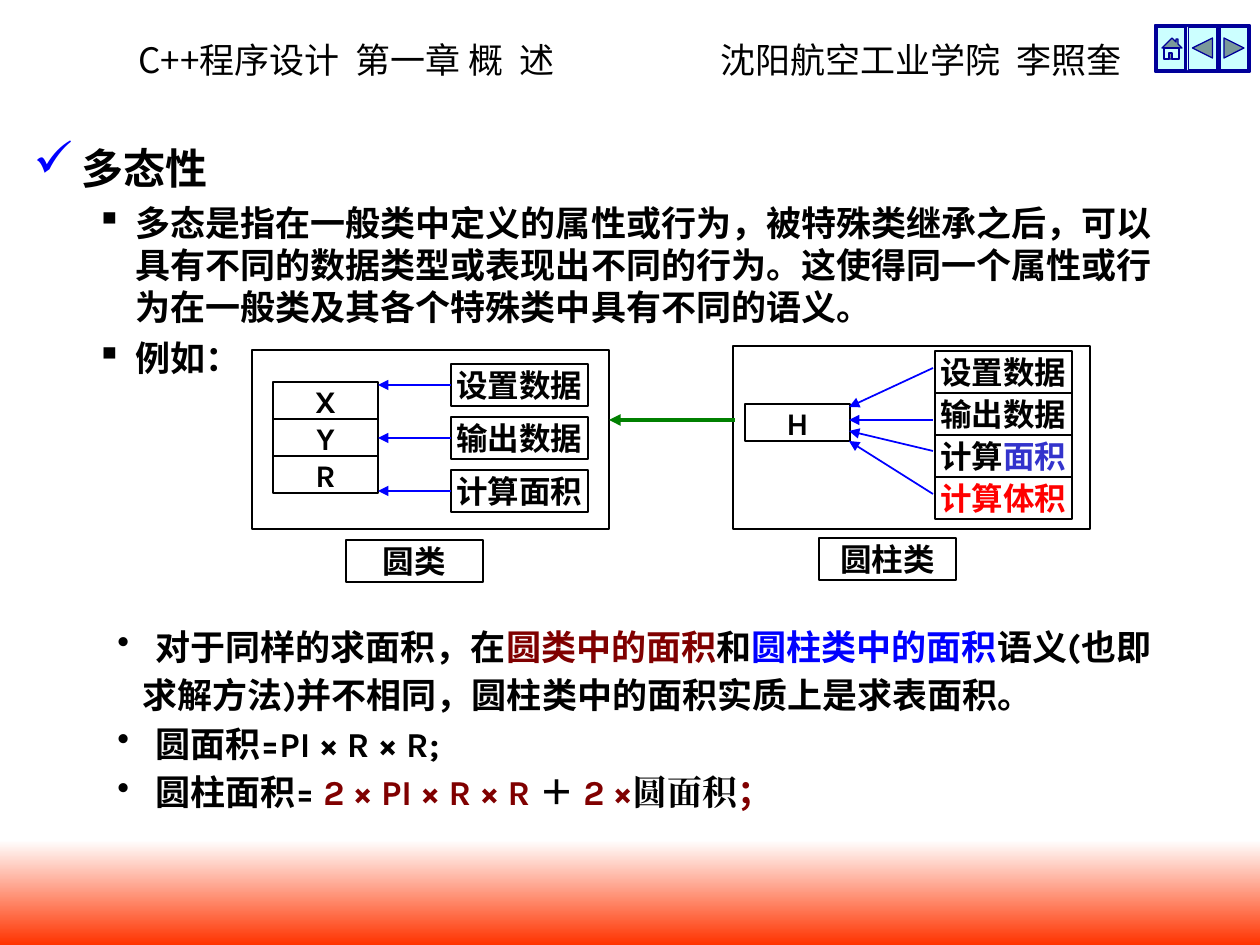
"""Build the polymorphism slide comparing the circle and cylinder classes."""
from dataclasses import dataclass

from lxml.etree import SubElement
from pptx import Presentation
from pptx.dml.color import RGBColor
from pptx.enum.shapes import MSO_CONNECTOR, MSO_SHAPE
from pptx.enum.text import MSO_ANCHOR, PP_ALIGN
from pptx.oxml.ns import qn
from pptx.util import Emu, Pt


@dataclass(frozen=True)
class Theme:
    black: str = "000000"
    white: str = "FFFFFF"
    blue: str = "0000FF"
    indigo: str = "3333CC"
    maroon: str = "800000"
    red: str = "FF0000"
    green: str = "008000"
    flame: str = "FF3300"
    navy: str = "000099"
    ice: str = "CCFFFF"
    glyph: str = "7A9999"
    font: str = "Karla"
    serif: str = "Times New Roman"
    header_latin: str = "Noto Sans CJK JP"
    header_chinese: str = "Noto Sans CJK SC"
    title: int = 24
    body: int = 20
    label: int = 18


T = Theme()
EMU_PER_PX = 914400 / 126

HEADER = [
    ("C++程序设计 ", T.header_latin),
    (" 第一章 概  述\t", T.header_chinese),
    ("沈阳航空工业学院  ", T.header_latin),
    ("李照奎", T.header_chinese),
]
HEADER_TAB = 582

POINT = dict(left=102, hang=39, before=5, bullet="▪", bullet_color=T.black)
TOPIC = [
    ([("多态性", T.black)], T.title,
     dict(left=48, hang=48, bullet="✓", bullet_color=T.blue, bullet_size=120)),
    ([("多态是指在一般类中定义的属性或行为，被特殊类继承之后，可以具有不同的数据类型或表现出不同的行为。"
       "这使得同一个属性或行为在一般类及其各个特殊类中具有不同的语义。", T.black)], T.body, POINT),
    ([("例如：", T.black)], T.body, POINT),
]

FIRST_REMARK = dict(left=38, hang=38, bullet="•", bullet_color=T.black)
REMARK = dict(FIRST_REMARK, before=3.7)
REMARKS = [
    ([("对于同样的求面积，在", T.black), ("圆类中的面积", T.maroon), ("和", T.black),
      ("圆柱类中的面积", T.blue), ("语义(也即", T.black)], T.body, FIRST_REMARK),
    ([("求解方法)并不相同，圆柱类中的面积实质上是求表面积。", T.black)], T.body, dict(left=25, before=3.7)),
    ([("圆面积=PI × R × R;", T.black)], T.body, REMARK),
    ([("圆柱面积= ", T.black), ("2 × PI × R × R ", T.maroon), ("＋ ", T.black), ("2 ×", T.maroon),
      ("圆面积", T.black, T.serif), ("；", T.maroon)], T.body, REMARK),
]

FIELD, ACTION = (105, 37), (137, 42)
CLASSES = [
    dict(frame=(252, 350, 357, 179), name="圆类", name_at=(346, 540),
         fields=["X", "Y", "R"], fields_at=(273, 382),
         actions=[[("设置数据", T.black)], [("输出数据", T.black)], [("计算面积", T.black)]],
         actions_at=(451, 364), action_step=53,
         links=[((451, y), (378, y)) for y in (385, 438, 491)]),
    dict(frame=(733, 346, 357, 183), name="圆柱类", name_at=(819, 538),
         fields=["H"], fields_at=(745, 404),
         actions=[[("设置数据", T.black)], [("输出数据", T.black)],
                  [("计算", T.black), ("面积", T.indigo)], [("计算体积", T.red)]],
         actions_at=(935, 351), action_step=42,
         links=[((933, start), (849, end))
                for start, end in ((368, 407), (420, 420), (451, 431), (494, 441))]),
]
INHERITANCE = ((735, 420), (609, 420))

NAV_AT, NAV_SIZE, NAV_STEP = (1155, 25), (32, 47), 31.5
HOUSE = [(17, 13), (21, 17), (21, 14), (23, 14), (23, 19), (27, 23), (24, 23), (24, 34), (9, 34), (9, 23), (7, 23)]
WALLS = [(14, 28), (17, 28), (17, 34), (24, 34), (24, 23), (9, 23), (9, 34), (14, 34)]
NAV_BUTTONS = [
    [(HOUSE, T.glyph), (WALLS, T.ice)],
    [([(6, 23), (26, 13), (26, 33)], T.glyph)],
    [([(6, 13), (26, 23), (6, 33)], T.glyph)],
]


def px(value):
    return Emu(round(value * EMU_PER_PX))


def rgb(color):
    return RGBColor.from_string(color)


def add_run(paragraph, text, size, color=T.black, font=T.font, bold=True):
    run = paragraph.add_run()
    run.text = text
    run.font.size, run.font.bold, run.font.name = Pt(size), bold, font
    run.font.color.rgb = rgb(color)
    SubElement(run.font._element, qn("a:ea"), typeface=font)


def format_paragraph(paragraph, left=0, hang=0, before=0, bullet=None, bullet_color=None, bullet_size=None):
    properties = paragraph._p.get_or_add_pPr()
    properties.set("marL", str(px(left)))
    properties.set("indent", str(px(-hang)))
    if bullet:
        SubElement(SubElement(properties, qn("a:buClr")), qn("a:srgbClr"), val=bullet_color)
        if bullet_size:
            SubElement(properties, qn("a:buSzPct"), val=str(bullet_size * 1000))
        SubElement(properties, qn("a:buChar"), char=bullet)
    paragraph.space_before = Pt(before)


def add_text_area(slide, box):
    frame = slide.shapes.add_textbox(*map(px, box)).text_frame
    frame.word_wrap = True
    return frame


def add_paragraphs(slide, box, paragraphs):
    frame = add_text_area(slide, box)
    for index, (runs, size, layout) in enumerate(paragraphs):
        paragraph = frame.add_paragraph() if index else frame.paragraphs[0]
        format_paragraph(paragraph, **layout)
        for text, *style in runs:
            add_run(paragraph, text, size, *style)


def style_shape(shape, fill=None, line=T.black, width=0.75):
    shape.shadow.inherit = False
    if fill:
        shape.fill.solid()
        shape.fill.fore_color.rgb = rgb(fill)
    else:
        shape.fill.background()
    shape.line.color.rgb = rgb(line)
    shape.line.width = Pt(width)


def add_box(slide, at, size, runs=(), width=0.75):
    box = slide.shapes.add_shape(MSO_SHAPE.RECTANGLE, *map(px, (*at, *size)))
    style_shape(box, width=width)
    frame = box.text_frame
    frame.word_wrap, frame.vertical_anchor = False, MSO_ANCHOR.MIDDLE
    frame.paragraphs[0].alignment = PP_ALIGN.CENTER
    for text, color in runs:
        add_run(frame.paragraphs[0], text, T.label, color)


def add_arrow(slide, start, end, color, width):
    arrow = slide.shapes.add_connector(MSO_CONNECTOR.STRAIGHT, *map(px, (*start, *end)))
    arrow.line.color.rgb = rgb(color)
    arrow.line.width = Pt(width)
    properties = arrow._element.spPr
    SubElement(properties.find(qn("a:ln")), qn("a:tailEnd"), type="triangle")
    SubElement(properties, qn("a:effectLst"))


def add_class(slide, item):
    add_box(slide, item["frame"][:2], item["frame"][2:], width=1.5)
    for x, y, size, step, labels in (
        (*item["fields_at"], FIELD, FIELD[1], [[(field, T.black)] for field in item["fields"]]),
        (*item["actions_at"], ACTION, item["action_step"], item["actions"]),
    ):
        for index, runs in enumerate(labels):
            add_box(slide, (x, y + index * step), size, runs)
    add_box(slide, item["name_at"], ACTION, [(item["name"], T.black)])
    for start, end in item["links"]:
        add_arrow(slide, start, end, T.blue, 1)


def add_header(slide):
    paragraph = add_text_area(slide, (126, 32, 1040, 55)).paragraphs[0]
    tabs = SubElement(paragraph._p.get_or_add_pPr(), qn("a:tabLst"))
    SubElement(tabs, qn("a:tab"), pos=str(px(HEADER_TAB)), algn="l")
    for text, font in HEADER:
        add_run(paragraph, text, T.body, font=font, bold=False)


def add_footer(slide):
    band = slide.shapes.add_shape(MSO_SHAPE.RECTANGLE, *map(px, (0, 840, 1260, 105)))
    band.shadow.inherit = False
    band.line.fill.background()
    band.fill.gradient()
    band.fill.gradient_angle = 270
    for stop, color, position in zip(band.fill.gradient_stops, (T.white, T.flame), (0, 1)):
        stop.color.rgb = rgb(color)
        stop.position = position


def add_navigation(slide):
    for index, glyphs in enumerate(NAV_BUTTONS):
        x, y = NAV_AT[0] + index * NAV_STEP, NAV_AT[1]
        button = slide.shapes.add_shape(MSO_SHAPE.BEVEL, *map(px, (x, y, *NAV_SIZE)))
        button.adjustments[0] = 0.06
        style_shape(button, T.ice, T.navy)
        for outline, color in glyphs:
            points = [(px(x + dx), px(y + dy)) for dx, dy in outline]
            builder = slide.shapes.build_freeform(*points[0])
            builder.add_line_segments(points[1:], close=True)
            style_shape(builder.convert_to_shape(), color, T.navy)


def main():
    deck = Presentation()
    deck.slide_width, deck.slide_height = px(1260), px(945)
    slide = deck.slides.add_slide(deck.slide_layouts[6])
    add_header(slide)
    add_footer(slide)
    add_navigation(slide)
    add_paragraphs(slide, (21, 136, 1144, 567), TOPIC)
    add_paragraphs(slide, (105, 619, 1134, 200), REMARKS)
    for item in CLASSES:
        add_class(slide, item)
    add_arrow(slide, *INHERITANCE, T.green, 2.25)
    deck.save("out.pptx")


if __name__ == "__main__":
    main()
